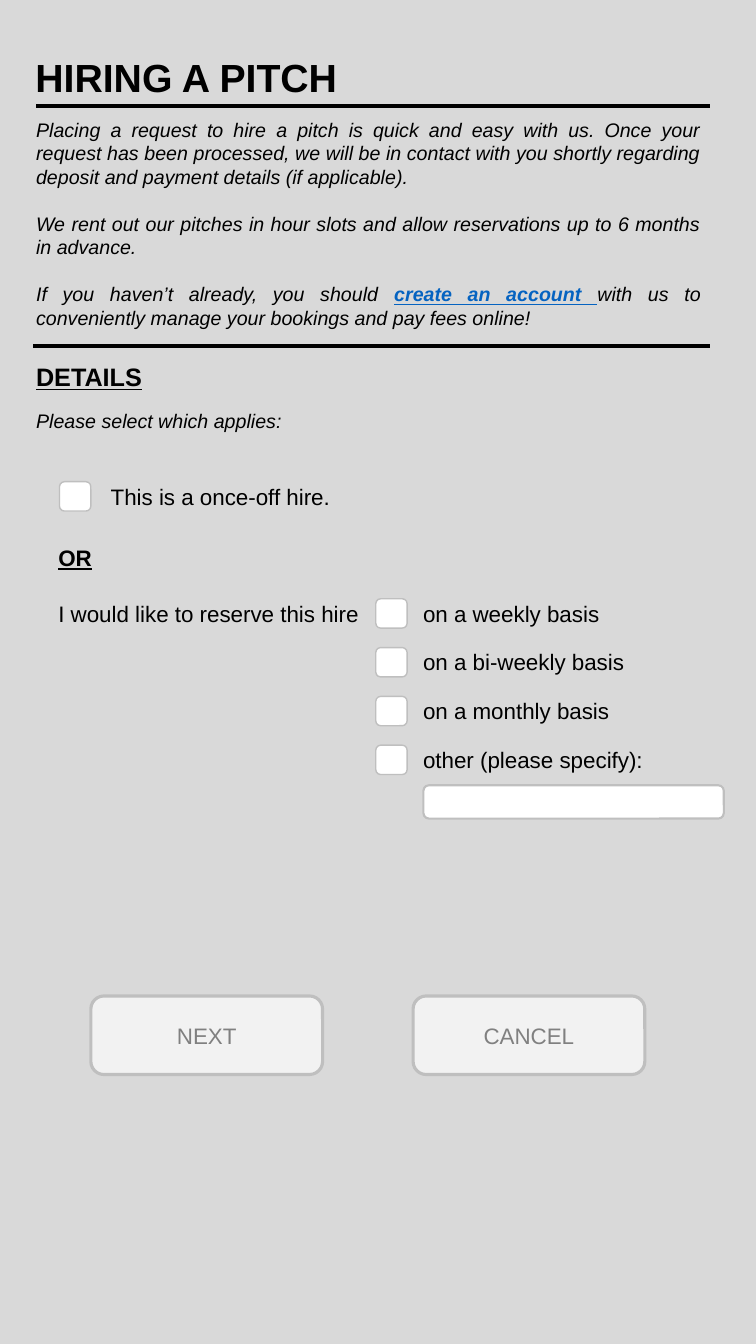
import pptx
import pptx.util
import pptx.dml.color
import pptx.enum.shapes
import pptx.enum.text
import lxml.etree

Cm, Pt = pptx.util.Cm, pptx.util.Pt
RGBColor = pptx.dml.color.RGBColor
Shape = pptx.enum.shapes.MSO_SHAPE
Align = pptx.enum.text.PP_ALIGN
Anchor = pptx.enum.text.MSO_ANCHOR

RED = RGBColor(0xD6, 0x00, 0x35)
PANEL = RGBColor(0xD9, 0xD9, 0xD9)
PALE = RGBColor(0xF2, 0xF2, 0xF2)
EDGE = RGBColor(0xBF, 0xBF, 0xBF)
GREY = RGBColor(0x80, 0x80, 0x80)
BLUE = RGBColor(0x05, 0x63, 0xC1)
BLACK = RGBColor(0, 0, 0)
WHITE = RGBColor(0xFF, 0xFF, 0xFF)

TITLE = "HIRING A PITCH"
LINK = "create an account "
INTRO = [
    ["Placing a request to hire a pitch is quick and easy with us. Once your request has been "
     "processed, we will be in contact with you shortly regarding deposit and payment details "
     "(if applicable)."],
    ["We rent out our pitches in hour slots and allow reservations up to 6 months in advance."],
    ["If you haven’t already, you should ", LINK,
     "with us to conveniently manage your bookings and pay fees online!"],
]
LABELS = [
    ("DETAILS", (0.66, 8.99, 17.4, 1.02), dict(size=18, bold=True, under=True)),
    ("Please select which applies:", (0.66, 10.19, 17.25, 0.86), dict(size=14, italic=True)),
    ("OR", (1.22, 13.59, 16.26, 0.94), dict(bold=True, under=True)),
    ("I would like to reserve this hire", (1.22, 15.01, 8.26, 0.94), {}),
]
ONCE = "This is a once-off hire."
BASES = ["on a weekly basis", "on a bi-weekly basis", "on a monthly basis",
         "other (please specify):"]
BUTTONS = ["NEXT", "CANCEL"]
RULES = [(0.91, 2.67), (0.84, 8.71)]
RIGHT = 17.88
WIDE, HIGH = 19.05, 33.87

deck = pptx.Presentation()
deck.slide_width, deck.slide_height = Cm(WIDE), Cm(HIGH)
slide = deck.slides.add_slide(deck.slide_layouts[5])
slide.background.fill.solid()
slide.background.fill.fore_color.rgb = RED
shapes = slide.shapes


def style(run, size=16, color=BLACK, bold=False, italic=False, under=False):
    font = run.font
    font.name, font.size = "Arial", Pt(size)
    font.bold, font.italic, font.underline = bold, italic, under
    font.color.rgb = color


def block(shape, kind, fill, edge=None, width=1):
    shape.shadow.inherit = False
    shape.fill.solid()
    shape.fill.fore_color.rgb = fill
    if edge is None:
        shape.line.fill.background()
    else:
        shape.line.color.rgb = edge
        shape.line.width = Pt(width)
    return shape


def draw(kind, area, fill, edge=None, width=1):
    shape = shapes.add_shape(kind, *map(Cm, area))
    return block(shape, kind, fill, edge, width)


def write(text, area, **look):
    frame = shapes.add_textbox(*map(Cm, area)).text_frame
    frame.word_wrap = True
    frame.text = text
    style(frame.paragraphs[0].runs[0], **look)


def option(text, left, top, gap, width):
    draw(Shape.ROUNDED_RECTANGLE, (left, top, 0.79, 0.74), WHITE, EDGE)
    write(text, (left + gap, top - 0.1, width, 0.94))


panel = draw(Shape.RECTANGLE, (0, 0, WIDE, HIGH), PANEL)
title = shapes.title
title.element.addprevious(panel.element)
title.left, title.top, title.width, title.height = map(Cm, (0.64, 1.22, 14.99, 1.45))
title.text_frame.text = TITLE
title.text_frame.vertical_anchor = Anchor.TOP
title.text_frame.paragraphs[0].alignment = Align.LEFT
style(title.text_frame.paragraphs[0].runs[0], size=28, bold=True)

for left, top in RULES:
    rule = shapes.add_connector(pptx.enum.shapes.MSO_CONNECTOR.STRAIGHT,
                                Cm(left), Cm(top), Cm(RIGHT), Cm(top))
    rule.line.color.rgb = BLACK
    rule.line.width = Pt(3)
    lxml.etree.SubElement(rule.element.spPr, pptx.oxml.ns.qn("a:effectLst"))

frame = shapes.add_textbox(Cm(0.66), Cm(2.84), Cm(17.25), Cm(5.64)).text_frame
frame.word_wrap = True
for i, parts in enumerate(INTRO):
    para = frame.add_paragraph() if i else frame.paragraphs[0]
    para.alignment = Align.JUSTIFY
    if i:
        para.space_before = Pt(16.8)
    for part in parts:
        run = para.add_run()
        run.text = part
        if part == LINK:
            style(run, 14, BLUE, bold=True, italic=True, under=True)
        else:
            style(run, 14, italic=True)

for text, area, look in LABELS:
    write(text, area, **look)

option(ONCE, 1.5, 12.14, 1.04, 16.26)
for i, text in enumerate(BASES):
    option(text, 9.47, 15.09 + 1.23 * i, 0.94, 8.1)
draw(Shape.ROUNDED_RECTANGLE, (10.67, 19.79, 7.57, 0.84), WHITE, EDGE, 1.5)

for i, text in enumerate(BUTTONS):
    button = draw(Shape.ROUNDED_RECTANGLE, (2.29 + 8.12 * i, 25.1, 5.84, 1.98), PALE, EDGE, 2.25)
    button.text_frame.text = text
    button.text_frame.vertical_anchor = Anchor.MIDDLE
    button.text_frame.paragraphs[0].alignment = Align.CENTER
    style(button.text_frame.paragraphs[0].runs[0], color=GREY)

deck.save("out.pptx")
